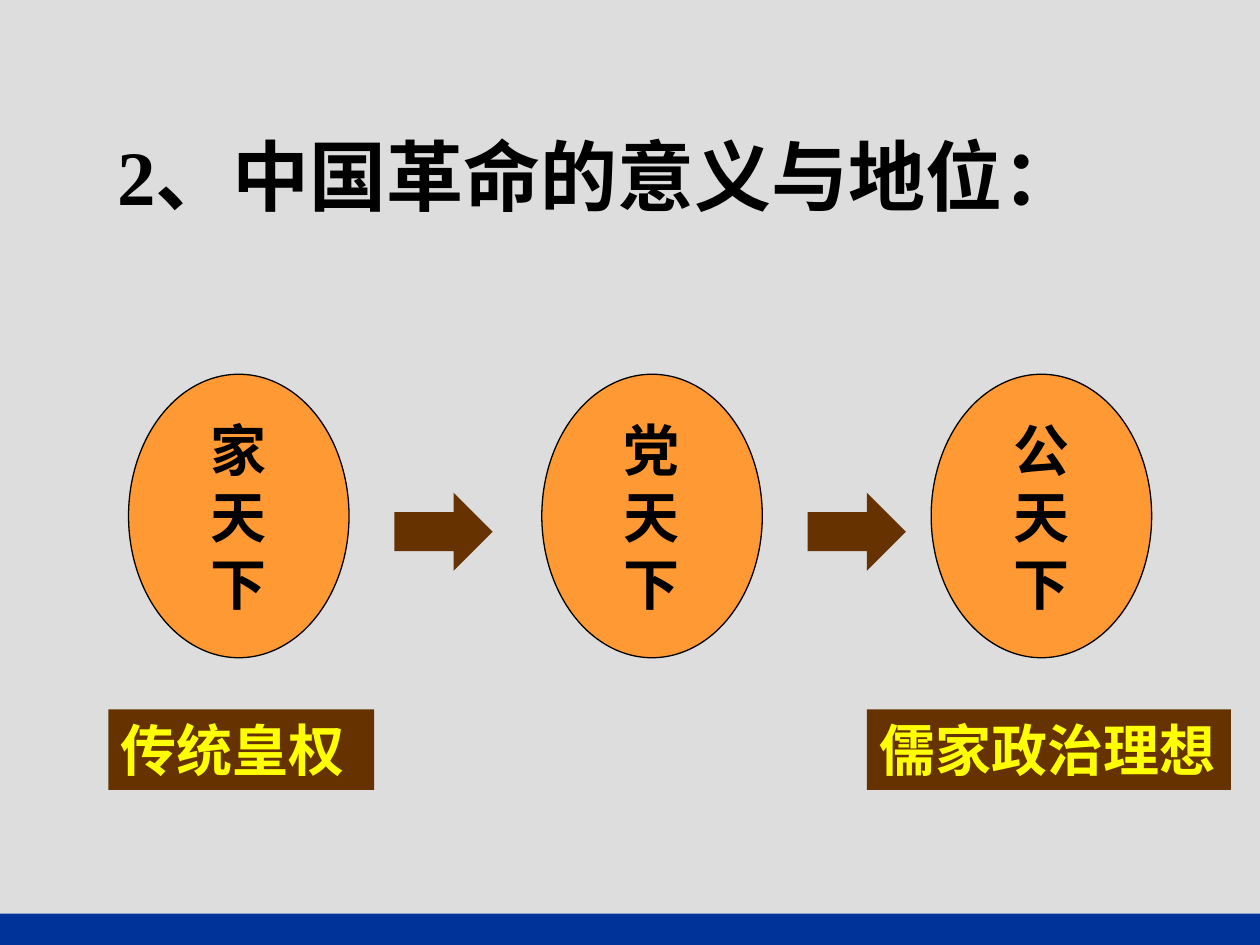
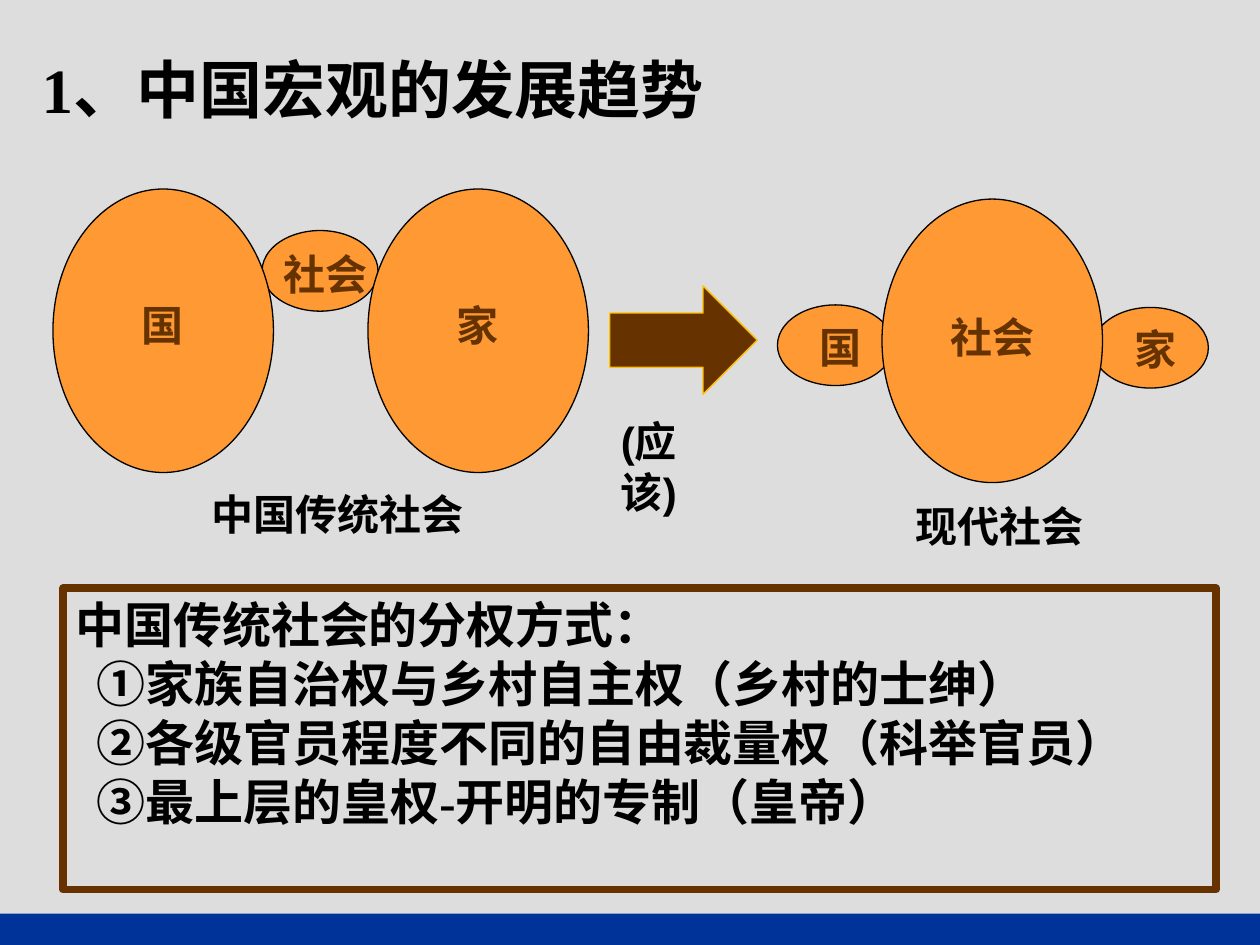
from pptx import Presentation
from pptx.dml.color import RGBColor
from pptx.enum import shapes, text
from pptx.util import Inches, Pt

BACKGROUND, BAND = "DDDDDD", "003399"
ORANGE, BROWN, YELLOW, GOLD, BLACK = "FF9933", "663300", "FFFF00", "FFC000", "000000"
SERIF, SANS, VERTICAL = "Times New Roman", "Arial", "DejaVu Sans"
LEFT, CENTER = text.PP_ALIGN.LEFT, text.PP_ALIGN.CENTER
TOP, MIDDLE = text.MSO_ANCHOR.TOP, text.MSO_ANCHOR.MIDDLE
LARGE_OVAL = (1.75, 2.25)
SMALL_OVAL = (0.92, 0.64)


def color(value):
    return RGBColor.from_string(value)


def write(holder, words, size, font, ink=BLACK, align=LEFT, anchor=TOP, wrap=True, inset=(0.1, 0.05)):
    frame = holder.text_frame
    frame.text = words
    frame.word_wrap = wrap
    frame.auto_size = text.MSO_AUTO_SIZE.NONE
    frame.vertical_anchor = anchor
    frame.margin_left = frame.margin_right = Inches(inset[0])
    frame.margin_top = frame.margin_bottom = Inches(inset[1])
    for paragraph in frame.paragraphs:
        paragraph.alignment = align
        for run in paragraph.runs:
            run.font.size = Pt(size)
            run.font.name = font
            run.font.bold = True
            run.font.color.rgb = color(ink)
    return frame


def add_figure(slide, kind, box, fill=None, line=None, weight=0.75):
    figure = slide.shapes.add_shape(kind, *map(Inches, box))
    figure.shadow.inherit = False
    if fill:
        figure.fill.solid()
        figure.fill.fore_color.rgb = color(fill)
    else:
        figure.fill.background()
    if line:
        figure.line.color.rgb = color(line)
        figure.line.width = Pt(weight)
    else:
        figure.line.fill.background()
    return figure


def add_oval(slide, left, top, size=LARGE_OVAL):
    return add_figure(slide, shapes.MSO_SHAPE.OVAL, (left, top, *size), ORANGE, BLACK)


def add_arrow(slide, box, line=None):
    add_figure(slide, shapes.MSO_SHAPE.RIGHT_ARROW, box, BROWN, line)


def add_tag(slide, words, left, width):
    tag = add_figure(slide, shapes.MSO_SHAPE.RECTANGLE, (left, 5.63, width, 0.64), BROWN)
    write(tag, words, 32, SERIF, YELLOW)


def add_label(slide, words, box, font=SANS, ink=BLACK, align=LEFT):
    label = slide.shapes.add_textbox(*map(Inches, box))
    write(label, words, 24, font, ink, align)


def add_titled_slide(deck, words, box, size, inset):
    slide = deck.slides.add_slide(deck.slide_layouts[5])
    slide.background.fill.solid()
    slide.background.fill.fore_color.rgb = color(BACKGROUND)
    add_figure(slide, shapes.MSO_SHAPE.RECTANGLE, (0, 7.25, 10, 0.25), BAND)
    title = slide.shapes.title
    title.left, title.top, title.width, title.height = map(Inches, box)
    write(title, words, size, SERIF, inset=inset)
    return slide


def build_revolution_slide(deck):
    slide = add_titled_slide(deck, "2、中国革命的意义与地位：", (0.83, 0.97, 8.85, 0.85), 44, (0.1, 0.05))
    for owner, left in (("家", 1.02), ("党", 4.3), ("公", 7.39)):
        oval = add_oval(slide, left, 2.97)
        write(oval, "\n".join((owner, "天", "下")), 32, VERTICAL,
              align=CENTER, anchor=MIDDLE, wrap=False)
    add_tag(slide, "传统皇权", 0.86, 2.11)
    add_tag(slide, "儒家政治理想", 6.88, 2.89)
    for left in (3.13, 6.41):
        add_arrow(slide, (left, 3.91, 0.78, 0.62))


def build_trend_slide(deck):
    slide = add_titled_slide(deck, "1、中国宏观的发展趋势", (0.33, 0.4, 8.33, 0.6), 36, (0, 0))

    add_oval(slide, 2.08, 1.83, SMALL_OVAL)
    add_oval(slide, 0.42, 1.5)
    add_oval(slide, 2.92, 1.5)
    add_oval(slide, 6.17, 2.42, SMALL_OVAL)
    add_oval(slide, 8.67, 2.44, SMALL_OVAL)
    add_oval(slide, 7, 1.58)

    for words, left, top in (("国", 0.33, 2.33), ("家", 2.83, 2.33), ("社会", 6.92, 2.42)):
        add_label(slide, words, (left, top, 1.92, 0.5), SANS, BROWN, CENTER)
    for words, left, top in (("社会", 2.08, 1.92), ("国", 6.17, 2.5), ("家", 8.67, 2.52)):
        add_label(slide, words, (left, top, 1, 0.5), SERIF, BROWN, CENTER)

    add_label(slide, "中国传统社会", (1.58, 3.83, 2.25, 0.5))
    add_label(slide, "现代社会", (7.17, 3.92, 1.58, 0.5))
    add_label(slide, "(应该)", (4.83, 3.25, 1.08, 0.9))
    add_arrow(slide, (4.84, 2.27, 1.17, 0.86), GOLD)

    powers = (
        "中国传统社会的分权方式：",
        "①家族自治权与乡村自主权（乡村的士绅）",
        "②各级官员程度不同的自由裁量权（科举官员）",
        "③最上层的皇权-开明的专制（皇帝）",
    )
    panel = add_figure(slide, shapes.MSO_SHAPE.RECTANGLE, (0.5, 4.67, 9.15, 2.39), line=BROWN, weight=4.5)
    frame = write(panel, "\n".join(powers), 28, SERIF)
    for power in frame.paragraphs[1:]:
        power._p.get_or_add_pPr().set("marL", str(Inches(0.17)))


def main():
    deck = Presentation()
    deck.slide_width, deck.slide_height = Inches(10), Inches(7.5)
    build_revolution_slide(deck)
    build_trend_slide(deck)
    deck.save("out.pptx")


if __name__ == "__main__":
    main()
